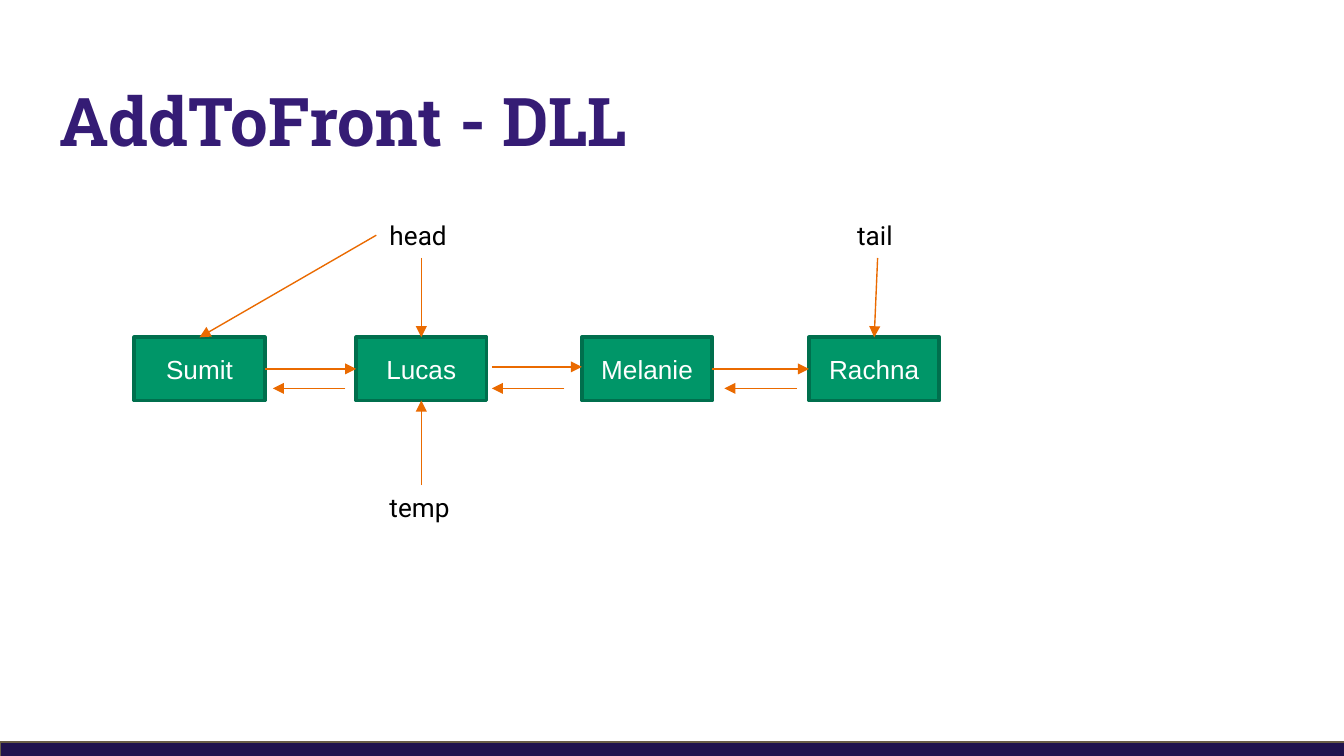
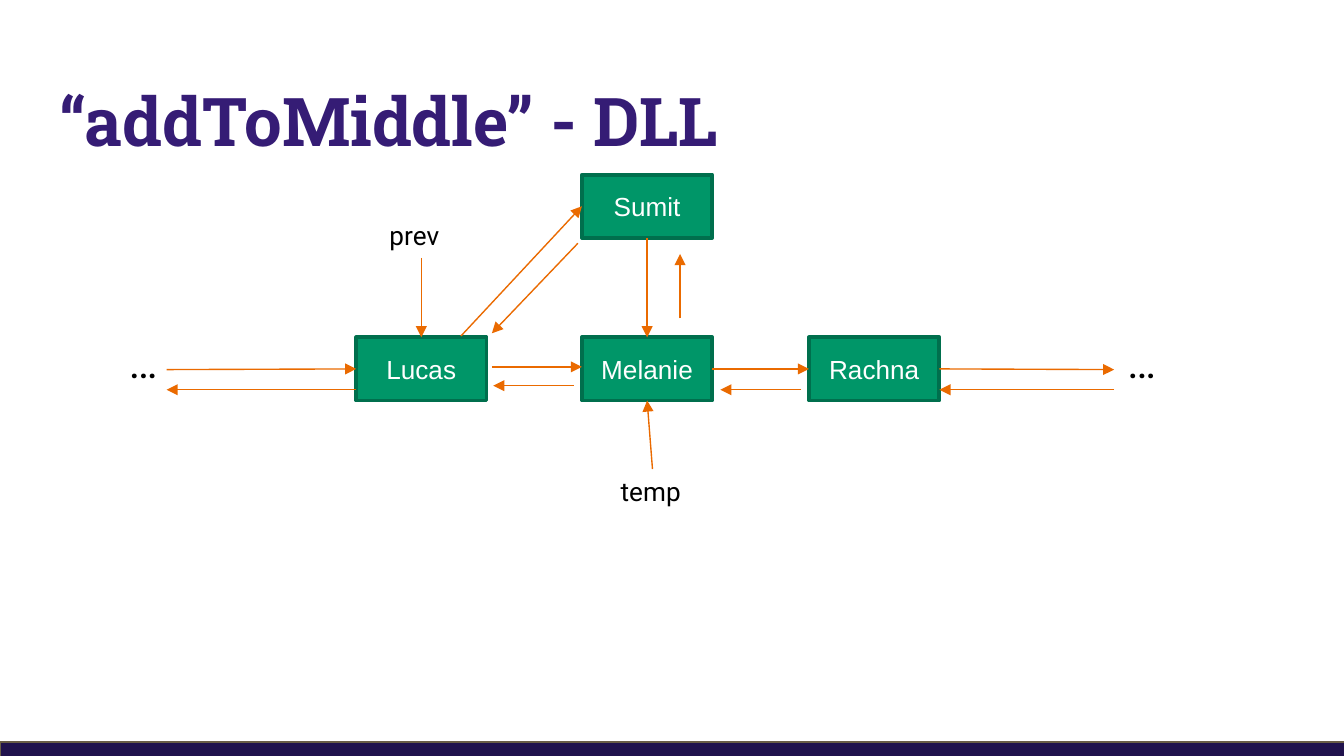
from pptx import Presentation
from pptx.dml.color import RGBColor
from pptx.enum.shapes import MSO_CONNECTOR as LINE, MSO_SHAPE as SHAPE
from pptx.enum.text import MSO_ANCHOR as ANCHOR, MSO_AUTO_SIZE as FIT, PP_ALIGN as ALIGN
from pptx.oxml.ns import qn
from pptx.util import Inches, Pt
from lxml.etree import SubElement

COLORS = {
    "title": "351C75", "band": "20124D", "band_line": "695D46",
    "node": "009668", "node_line": "006F4D", "arrow": "EA6A00",
    "text": "000000", "node_text": "FFFFFF",
}
COLUMNS = {"Sumit": 1, "Lucas": 2.65, "Melanie": 4.33, "Rachna": 6.02}
ROW = 2.51
NODE_WIDTH, NODE_HEIGHT = 0.97, 0.47
TOP, LEFT, BOTTOM, RIGHT = range(4)  # connection sites of a rectangle


def color(name):
    return RGBColor.from_string(COLORS[name])


def write(frame, text, size=14, font="Roboto", fill="text", bold=False, align=ALIGN.LEFT):
    para = frame.paragraphs[0]
    para.alignment = align
    span = para.add_run()
    span.text = text
    span.font.size = Pt(size)
    span.font.name = font
    span.font.bold = bold
    span.font.color.rgb = color(fill)


def add_box(page, left, top, width, height, fill, line, weight):
    box = page.shapes.add_shape(
        SHAPE.RECTANGLE, Inches(left), Inches(top), Inches(width), Inches(height))
    box.shadow.inherit = False
    box.fill.solid()
    box.fill.fore_color.rgb = color(fill)
    box.line.color.rgb = color(line)
    box.line.width = Pt(weight)
    return box


def add_page(deck, title):
    page = deck.slides.add_slide(deck.slide_layouts[5])
    holder = page.shapes.title
    holder.left, holder.top = Inches(0.34), Inches(0.49)
    holder.width, holder.height = Inches(9.32), Inches(0.77)
    frame = holder.text_frame
    frame.margin_left = frame.margin_right = Inches(0.1)
    frame.margin_top = frame.margin_bottom = Inches(0.1)
    frame.word_wrap = True
    frame.auto_size = FIT.NONE
    frame.vertical_anchor = ANCHOR.TOP
    write(frame, title, size=36, font="Roboto Slab", fill="title", bold=True)
    add_box(page, 0, 5.52, 10.12, 0.22, "band", "band_line", 0.75)
    return page


def add_node(page, name, left=None, top=ROW):
    left = COLUMNS[name] if left is None else left
    box = add_box(page, left, top, NODE_WIDTH, NODE_HEIGHT, "node", "node_line", 2)
    box.text_frame.vertical_anchor = ANCHOR.MIDDLE
    write(box.text_frame, name, font="Arial", fill="node_text", align=ALIGN.CENTER)
    return box


def add_label(page, text, left, top, width=0.67, height=0.34, size=14):
    box = page.shapes.add_textbox(Inches(left), Inches(top), Inches(width), Inches(height))
    box.text_frame.word_wrap = True
    box.text_frame.auto_size = FIT.SHAPE_TO_FIT_TEXT
    write(box.text_frame, text, size=size)
    return box


def add_arrow(page, start, end):
    """Each end is either an (x, y) point or a (shape, side) pair."""
    arrow = page.shapes.add_connector(LINE.STRAIGHT, 0, 0, 0, 0)
    arrow.line.color.rgb = color("arrow")
    arrow.line.width = Pt(0.75)
    SubElement(arrow.line._get_or_add_ln(), qn("a:tailEnd"), type="triangle")
    SubElement(arrow._element.spPr, qn("a:effectLst"))
    # Fixed points go first, so that glued ends are measured from them
    if isinstance(start[0], (int, float)):
        arrow.begin_x, arrow.begin_y = map(Inches, start)
    else:
        arrow.begin_connect(*start)
    if isinstance(end[0], (int, float)):
        arrow.end_x, arrow.end_y = map(Inches, end)
    else:
        arrow.end_connect(*end)


def add_list(page):
    """The three nodes and the forward arrows that both slides show."""
    lucas, melanie, rachna = [add_node(page, name) for name in ("Lucas", "Melanie", "Rachna")]
    add_arrow(page, (3.66, 2.73), (4.33, 2.73))
    add_arrow(page, (melanie, RIGHT), (rachna, LEFT))
    return lucas, melanie, rachna


def build_add_to_front(deck):
    page = add_page(deck, "AddToFront - DLL")
    lucas, melanie, rachna = add_list(page)
    sumit = add_node(page, "Sumit")

    # Named references
    head = add_label(page, "head", 2.8, 1.58)
    tail = add_label(page, "tail", 6.28, 1.58, width=0.5)
    temp = add_label(page, "temp", 2.8, 3.61)
    add_arrow(page, (head, BOTTOM), (lucas, TOP))
    add_arrow(page, (head, LEFT), (sumit, TOP))
    add_arrow(page, (tail, BOTTOM), (rachna, TOP))
    add_arrow(page, (temp, TOP), (lucas, BOTTOM))

    # Links between nodes
    add_arrow(page, (sumit, RIGHT), (lucas, LEFT))
    for tip in (2.03, 3.66, 5.39):
        add_arrow(page, (tip + 0.54, 2.89), (tip, 2.89))


def build_add_to_middle(deck):
    page = add_page(deck, "“addToMiddle” - DLL")
    lucas, melanie, rachna = add_list(page)
    sumit = add_node(page, "Sumit", left=COLUMNS["Melanie"], top=1.3)

    # Named references
    prev = add_label(page, "prev", 2.8, 1.58)
    temp = add_label(page, "temp", 4.52, 3.49)
    add_arrow(page, (prev, BOTTOM), (lucas, TOP))
    add_arrow(page, (temp, TOP), (melanie, BOTTOM))

    # The rest of the list on either side
    for left in (0.86, 8.29):
        add_label(page, "…", left, 2.45, width=0.28, height=0.49, size=23)
    add_arrow(page, (1.24, 2.75), (lucas, LEFT))
    add_arrow(page, (rachna, RIGHT), (8.29, 2.75))
    add_arrow(page, (2.65, 2.9), (1.24, 2.9))
    add_arrow(page, (8.29, 2.9), (6.99, 2.9))

    # Links between nodes
    add_arrow(page, (4.27, 2.87), (3.67, 2.87))
    add_arrow(page, (5.96, 2.9), (5.36, 2.9))

    # Links to and from the new node
    add_arrow(page, (3.43, 2.5), (sumit, LEFT))
    add_arrow(page, (4.3, 1.81), (3.66, 2.48))
    add_arrow(page, (sumit, BOTTOM), (melanie, TOP))
    add_arrow(page, (5.06, 2.37), (5.06, 1.89))


def main():
    deck = Presentation()
    deck.slide_width = Inches(10)
    deck.slide_height = deck.slide_width * 9 // 16
    build_add_to_front(deck)
    build_add_to_middle(deck)
    deck.save("out.pptx")


if __name__ == "__main__":
    main()
